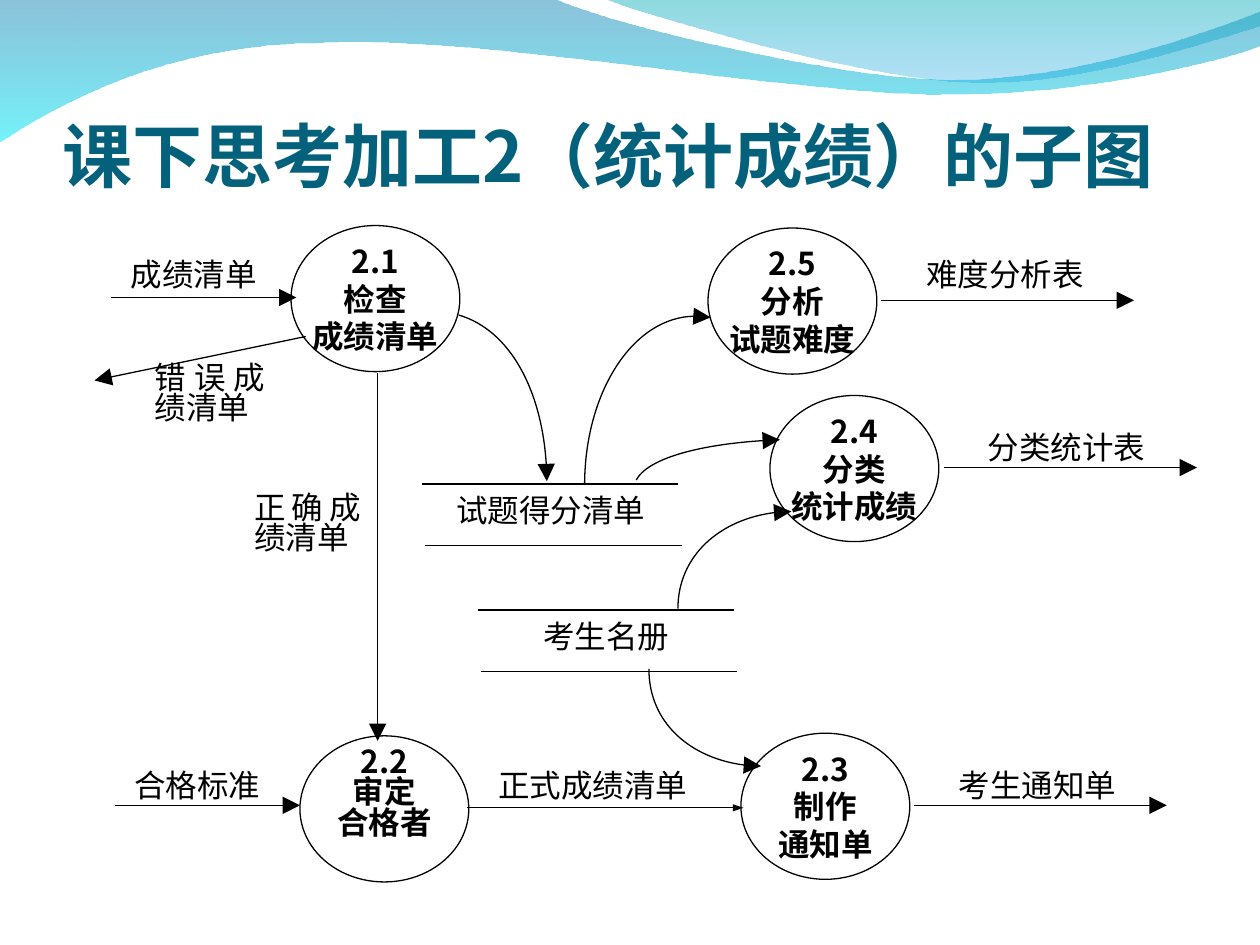
"""Build a data flow diagram slide for the score statistics process."""
from dataclasses import dataclass

from lxml.etree import SubElement
from pptx import Presentation
from pptx.dml.color import RGBColor
from pptx.enum.shapes import MSO_CONNECTOR, MSO_SHAPE
from pptx.enum.text import MSO_ANCHOR, PP_ALIGN
from pptx.oxml.ns import qn
from pptx.util import Pt


@dataclass(frozen=True)
class Theme:
    font: str = "Noto Sans CJK SC"
    head: float = 40
    body: float = 18
    line: float = 0.75
    tight: float = 0.8
    ink: str = "000000"
    teal: str = "04617B"
    deep: tuple = (("0079AF", 45), ("00EBF8", 55))
    pale: tuple = (("00ADB6", 45), ("009BE5", 30))


@dataclass(frozen=True)
class Bubble:
    x: float
    y: float
    lines: tuple
    space: float = 1.0
    rise: float = 0


@dataclass(frozen=True)
class Store:
    x: float
    y: float
    name: str


@dataclass(frozen=True)
class Flow:
    start: tuple
    end: tuple
    name: str
    box: tuple
    align: PP_ALIGN = PP_ALIGN.CENTER
    head: tuple = ("lg", "lg")


@dataclass(frozen=True)
class Curve:
    start: tuple
    legs: tuple


@dataclass(frozen=True)
class Wave:
    curve: Curve
    stops: tuple


THEME = Theme()
WIDE, HIGH = 96.5, 83.5
SPAN, GAP, SHIFT = 146.5, 35.3, 1.9

WAVES = (
    Wave(Curve((0, -0.7), (
        (316.8, -0.7),
        (342.7, 12.2, 478.1, 45.4, 545.8, 45.4),
        (614.2, 45.4, 689.8, 18.7, 720, 6.5),
        (720.7, 25.9),
        (707.8, 31.7, 626.4, 54.7, 537.1, 54),
        (447.8, 54, 275, 20.2, 185, 24.5),
        (92.9, 25.2, 33.1, 59.8, -0.7, 81.4))), THEME.deep),
    Wave(Curve((344.9, -0.7), (
        (366.5, 7.9, 491, 44.6, 553.7, 46.8),
        (616.3, 49.7, 691.9, 23, 720, 15.1),
        (720, 0))), THEME.pale),
)
BUBBLES = (
    Bubble(166.3, 128.9, ("2.1", "检查", "成绩清单")),
    Bubble(171.4, 420.5, ("2.2", "审定", "合格者"), THEME.tight, 16),
    Bubble(423.4, 419, ("2.3", "制作", "通知单")),
    Bubble(440, 226, ("2.4", "分类", "统计成绩")),
    Bubble(404.6, 130.3, ("2.5", "分析", "试题难度")),
)
STORES = (Store(241.2, 276.5, "试题得分清单"), Store(272.9, 348.5, "考生名册"))
FLOWS = (
    Flow((63.7, 170), (169.4, 170), "成绩清单", (57, 146.2, 107.3)),
    Flow((174.7, 192.3), (54, 217.4), "错误成绩清单", (81.4, 205.2, 77),
         PP_ALIGN.JUSTIFY),
    Flow((215.8, 213.1), (215.8, 423.4), "正确成绩清单", (138.2, 279.4, 75),
         PP_ALIGN.JUSTIFY),
    Flow((65.5, 460.2), (171.4, 460.2), "合格标准", (59, 438.5, 107.3)),
    Flow((266.6, 461.6), (424.8, 461.6), "正式成绩清单", (270, 438.5, 137.5),
         head=("sm", "med")),
    Flow((522, 460.2), (666.7, 460.2), "考生通知单", (524.2, 438.5, 137.5)),
    Flow((539.3, 267.2), (684, 267.2), "分类统计表", (540.7, 245.5, 137.5)),
    Flow((503.3, 171.6), (648, 171.6), "难度分析表", (505.4, 146.2, 137.5)),
)
CURVES = (
    Curve((262.1, 180), ((291.6, 188.6, 312.5, 228.2, 312.5, 275),)),
    Curve((334.1, 277.2), ((334.1, 223.9, 362.2, 180.7, 397.4, 180.7),
                           (400.3, 180.7, 403.2, 180.7, 406.1, 181.4))),
    Curve((363.6, 274.3), ((370.1, 262.1, 403.9, 252.7, 445.7, 251.3),)),
    Curve((387.4, 347.8), ((387.4, 317.5, 416.2, 292.3, 452.2, 292.3),)),
    Curve((370.8, 382.3), ((370.8, 413.3, 399.6, 437.8, 434.9, 437.8),)),
)


def write(frame, lines: tuple, size: float, color: str, bold: bool,
          align: PP_ALIGN, space: float) -> None:
    """Fill a text frame with evenly styled paragraphs."""
    for i, line in enumerate(lines):
        para = frame.paragraphs[0] if i == 0 else frame.add_paragraph()
        para.text, para.alignment, para.line_spacing = line, align, space
        font = para.font
        font.size, font.bold, font.name = Pt(size), bold, THEME.font
        font.color.rgb = RGBColor.from_string(color)
        props = next(para._p.iter(qn("a:defRPr")))
        SubElement(props, qn("a:ea"), typeface=THEME.font)


def label(slide, name: str, box: tuple, align=PP_ALIGN.CENTER) -> None:
    """Place a flow or store name."""
    x, y, wide = box
    text = slide.shapes.add_textbox(Pt(x), Pt(y), Pt(wide), Pt(45))
    text.text_frame.word_wrap = True
    write(text.text_frame, (name,), THEME.body, THEME.ink, False, align,
          THEME.tight)


def stroke(shape, head: tuple = ()) -> None:
    """Set the outline and an optional arrowhead."""
    shape.line.color.rgb = RGBColor.from_string(THEME.ink)
    shape.line.width = Pt(THEME.line)
    if head:
        SubElement(shape.line._get_or_add_ln(), qn("a:tailEnd"),
                   type="triangle", w=head[0], len=head[1])


def wire(slide, start: tuple, end: tuple, head: tuple = ()) -> None:
    """Draw a straight line."""
    ends = [Pt(v) for v in (*start, *end)]
    line = slide.shapes.add_connector(MSO_CONNECTOR.STRAIGHT, *ends)
    stroke(line, head)
    SubElement(line._element.spPr, qn("a:effectLst"))


def trace(slide, curve: Curve, close: bool):
    """Build a freeform from two-value lines and six-value Bézier legs."""
    spots = [(Pt(leg[i]), Pt(leg[i + 1]))
             for leg in curve.legs for i in range(0, len(leg), 2)]
    pen = slide.shapes.build_freeform(*(Pt(v) for v in curve.start), scale=1.0)
    pen.add_line_segments(spots, close=close)
    shape = pen.convert_to_shape()
    shape.shadow.inherit = False
    steps = iter(list(shape._element.iter(qn("a:lnTo"))))
    for leg in curve.legs:
        group = [next(steps) for _ in range(len(leg) // 2)]
        if len(group) == 3:
            bend = group[0].makeelement(qn("a:cubicBezTo"))
            group[0].addprevious(bend)
            for step in group:
                bend.append(step[0])
                step.getparent().remove(step)
    return shape


def wash(slide, wave: Wave) -> None:
    """Draw a wave with a translucent vertical gradient."""
    shape = trace(slide, wave.curve, True)
    shape.line.fill.background()
    shape.fill.gradient()
    shape.fill.gradient_angle = 270
    for stop, (color, _) in zip(shape.fill.gradient_stops, wave.stops):
        stop.color.rgb = RGBColor.from_string(color)
    tints = shape._element.spPr.iter(qn("a:srgbClr"))
    for tint, (_, alpha) in zip(tints, wave.stops):
        SubElement(tint, qn("a:alpha"), val=str(alpha * 1000))


def arc(slide, curve: Curve) -> None:
    """Draw a curved arrow."""
    shape = trace(slide, curve, False)
    shape.fill.background()
    stroke(shape, ("lg", "lg"))


def ring(slide, item: Bubble) -> None:
    """Draw a process bubble with its text."""
    shape = slide.shapes.add_shape(MSO_SHAPE.OVAL, Pt(item.x), Pt(item.y),
                                   Pt(WIDE), Pt(HIGH))
    shape.shadow.inherit = False
    shape.fill.background()
    stroke(shape)
    frame = shape.text_frame
    frame.word_wrap, frame.vertical_anchor = False, MSO_ANCHOR.MIDDLE
    frame.margin_left = frame.margin_right = frame.margin_top = 0
    frame.margin_bottom = Pt(item.rise)
    write(frame, item.lines, THEME.body, THEME.ink, True, PP_ALIGN.CENTER,
          item.space)


def shelf(slide, item: Store) -> None:
    """Draw a data store as two lines around its name."""
    for x, y in ((item.x, item.y), (item.x + SHIFT, item.y + GAP)):
        wire(slide, (x, y), (x + SPAN, y))
    label(slide, item.name, (item.x + 3.6, item.y + 4.7, 139.7))


def title(slide, text: str) -> None:
    """Place the slide title."""
    frame = slide.shapes.add_textbox(Pt(36), Pt(55.4), Pt(648),
                                     Pt(57)).text_frame
    frame.word_wrap, frame.vertical_anchor = True, MSO_ANCHOR.BOTTOM
    frame.margin_left = frame.margin_right = frame.margin_bottom = 0
    write(frame, (text,), THEME.head, THEME.teal, True, PP_ALIGN.LEFT, 1.0)


def main() -> None:
    """Draw the slide and save it."""
    deck = Presentation()
    deck.slide_width, deck.slide_height = Pt(720), Pt(540)
    slide = deck.slides.add_slide(deck.slide_layouts[6])
    for wave in WAVES:
        wash(slide, wave)
    title(slide, "课下思考加工2（统计成绩）的子图")
    for item in BUBBLES:
        ring(slide, item)
    for store in STORES:
        shelf(slide, store)
    for flow in FLOWS:
        wire(slide, flow.start, flow.end, flow.head)
        label(slide, flow.name, flow.box, flow.align)
    for curve in CURVES:
        arc(slide, curve)
    deck.save("out.pptx")


if __name__ == "__main__":
    main()
